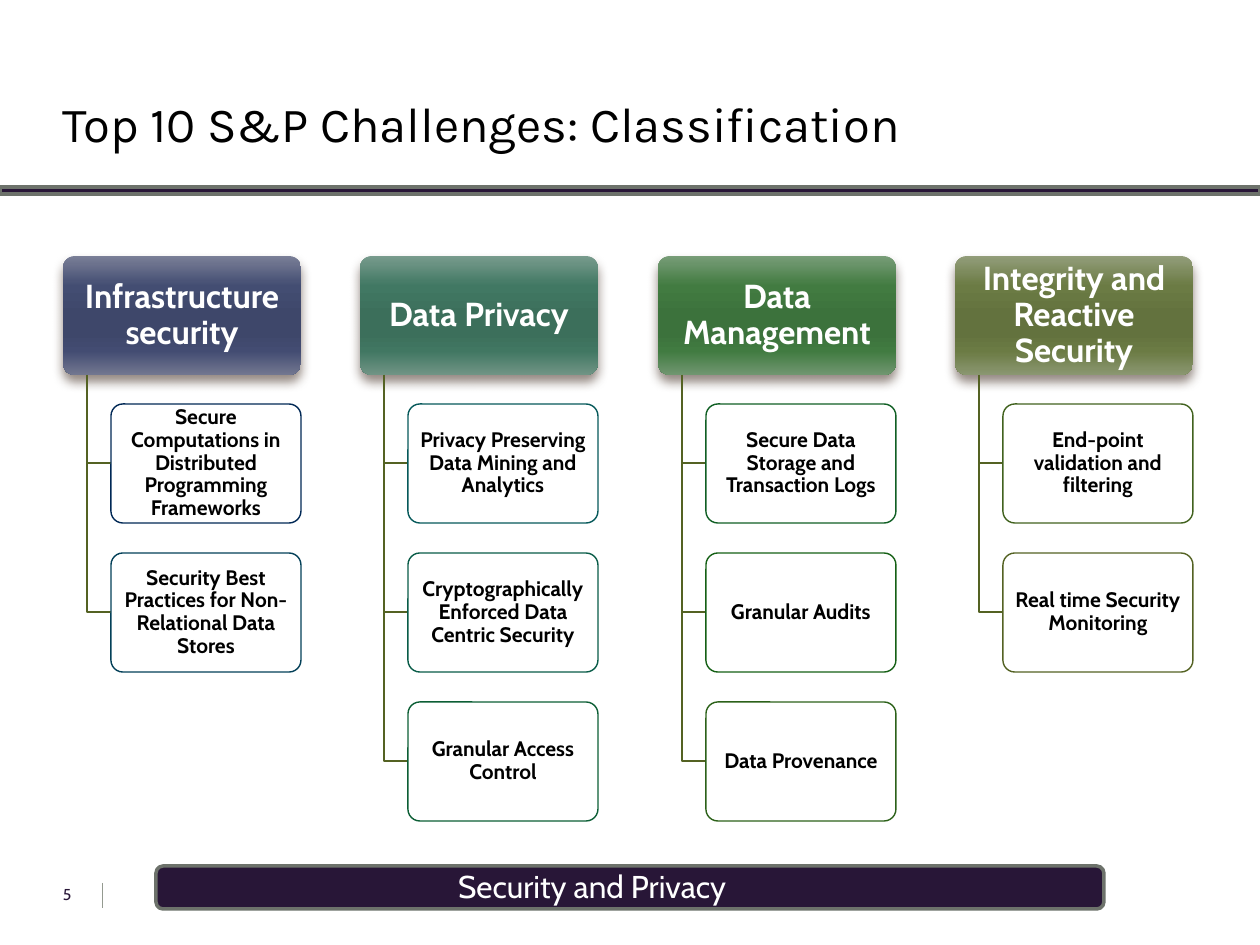
from lxml import etree
from pptx import Presentation
from pptx.dml.color import RGBColor
from pptx.enum.shapes import MSO_CONNECTOR, MSO_SHAPE
from pptx.enum.text import MSO_ANCHOR, PP_ALIGN
from pptx.oxml import parse_xml
from pptx.oxml.ns import nsdecls, qn
from pptx.util import Emu, Pt

SCALE = 914400 / 126
BODY, HEAD = "Cabin", "Karla"
BLACK, WHITE, PLUM, GRAY, OLIVE = "000000", "FFFFFF", "281637", "6D726B", "546223"
STOPS = (0, 25, 50, 65, 80, 100)
HEADER_W, CHILD_W, BOX_H = 238, 190, 119
LEFT, TOP, CHILD_TOP, ROW_PITCH = 63, 256, 404, 149

CATEGORIES = [
    ("Infrastructure security",
     ("7A7F97", "434D72", "3E476A", "3E476A", "434C72", "727790"),
     [("Secure Computations in Distributed Programming Frameworks", "002855"),
      ("Security Best Practices for Non-Relational Data Stores", "034058")]),
    ("Data Privacy",
     ("789B8D", "417863", "3C6F5B", "3C6F5B", "417762", "709485"),
     [("Privacy Preserving Data Mining and Analytics", "06595A"),
      ("Cryptographically Enforced Data Centric Security", "095C48"),
      ("Granular Access Control", "0C5E35")]),
    ("Data Management",
     ("789D78", "427B41", "3C723C", "3C723C", "417B41", "709670"),
     [("Secure Data Storage and Transaction Logs", "105F24"),
      ("Granular Audits", "156015"),
      ("Data Provenance", "2C6119")]),
    ("Integrity and Reactive Security",
     ("929D7A", "6B7B44", "63723E", "63723E", "6B7B44", "8B9771"),
     [("End-point validation and filtering", "41621E"),
      ("Real time Security Monitoring", OLIVE)]),
]


def px(n):
    return Emu(round(n * SCALE))


def rgb(color):
    return RGBColor.from_string(color)


def set_line(sp, color, width):
    sp.line.color.rgb = rgb(color)
    sp.line.width = Pt(width)


def write(sp, text, size, color, font=BODY, bold=False, insets=(0, 0), wrap=True):
    tf = sp.text_frame
    tf.word_wrap = wrap
    tf.margin_left = tf.margin_right = px(insets[0])
    tf.margin_top = tf.margin_bottom = px(insets[1])
    p = tf.paragraphs[0]
    r = p.add_run()
    r.text = text
    r.font.name = font
    r.font.size = Pt(size)
    r.font.bold = bold
    r.font.color.rgb = rgb(color)
    return tf


def add_text(s, box, *args, **kwargs):
    sp = s.shapes.add_textbox(*map(px, box))
    return write(sp, *args, **kwargs)


def add_box(s, kind, box, fill=None):
    sp = s.shapes.add_shape(kind, *map(px, box))
    sp.shadow.inherit = False
    if fill:
        sp.fill.solid()
        sp.fill.fore_color.rgb = rgb(fill)
    return sp


def add_bar(s, kind, box):
    set_line(add_box(s, kind, box, PLUM), GRAY, 2)


def add_card(s, box, text, size, color, insets, fill=None):
    sp = add_box(s, MSO_SHAPE.ROUNDED_RECTANGLE, box, fill)
    sp.adjustments[0] = 0.1
    tf = write(sp, text, size, color, bold=True, insets=insets)
    tf.vertical_anchor = MSO_ANCHOR.MIDDLE
    tf.paragraphs[0].alignment = PP_ALIGN.CENTER
    tf.paragraphs[0].line_spacing = 0.9
    return sp


def add_header(s, x, text, colors):
    sp = add_card(s, (x, TOP, HEADER_W, BOX_H), text, 19, WHITE, (5, 4))
    sp.line.fill.background()
    stops = "".join(
        f'<a:gs pos="{pos * 1000}"><a:srgbClr val="{color}"/></a:gs>'
        for pos, color in zip(STOPS, colors))
    sp._element.spPr.find(qn("a:prstGeom")).addnext(parse_xml(
        f'<a:gradFill {nsdecls("a")} rotWithShape="1"><a:gsLst>{stops}</a:gsLst>'
        '<a:lin ang="5400000" scaled="0"/></a:gradFill>'))
    sp._element.spPr.find(qn("a:effectLst")).append(parse_xml(
        f'<a:outerShdw {nsdecls("a")} blurRad="{Pt(6)}" dist="{Pt(4)}" dir="5400000" '
        'rotWithShape="0"><a:srgbClr val="4E3B30"><a:alpha val="60000"/></a:srgbClr>'
        '</a:outerShdw>'))


def add_elbow(s, x, y, end_x, end_y):
    builder = s.shapes.build_freeform(x, y, scale=SCALE)
    builder.add_line_segments([(x, end_y), (end_x, end_y)], close=False)
    sp = builder.convert_to_shape()
    sp.shadow.inherit = False
    sp.fill.background()
    set_line(sp, OLIVE, 0.79)


def add_child(s, x, y, text, color):
    sp = add_card(s, (x, y, CHILD_W, BOX_H), text, 12, BLACK, (4, 3), WHITE)
    set_line(sp, color, 0.79)
    clr = sp._element.spPr.find(qn("a:solidFill"))[0]
    etree.SubElement(clr, qn("a:alpha")).set("val", "90000")


def add_category(s, x, title, colors, children):
    add_header(s, x, title, colors)
    child_x = x + HEADER_W - CHILD_W
    for row, (text, color) in enumerate(children):
        y = CHILD_TOP + row * ROW_PITCH
        add_elbow(s, x + 24, TOP + BOX_H, child_x, y + BOX_H // 2)
        add_child(s, child_x, y, text, color)


def add_divider(s, x, top, bottom):
    line = s.shapes.add_connector(
        MSO_CONNECTOR.STRAIGHT, px(x), px(top), px(x), px(bottom))
    set_line(line, "949A90", 0.5)
    etree.SubElement(line._element.spPr, qn("a:effectLst"))


def main():
    prs = Presentation()
    prs.slide_width, prs.slide_height = px(1260), px(945)
    s = prs.slides.add_slide(prs.slide_layouts[6])
    add_divider(s, 102, 883, 908)
    add_bar(s, MSO_SHAPE.ROUNDED_RECTANGLE, (156, 866, 948, 43))
    add_bar(s, MSO_SHAPE.RECTANGLE, (0, 187, 1260, 7))
    add_text(s, (445, 861, 295, 50), "Security and Privacy", 18, WHITE,
             insets=(13, 6), wrap=False)
    title = add_text(s, (63, 67, 1131, 112), "Top 10 S&P Challenges: Classification",
                     28, BLACK, font=HEAD)
    title.vertical_anchor = MSO_ANCHOR.MIDDLE
    add_text(s, (63, 885, 50, 21), "5", 9, PLUM)
    for col, category in enumerate(CATEGORIES):
        add_category(s, LEFT + col * 595 // 2, *category)
    prs.save("out.pptx")


if __name__ == "__main__":
    main()
